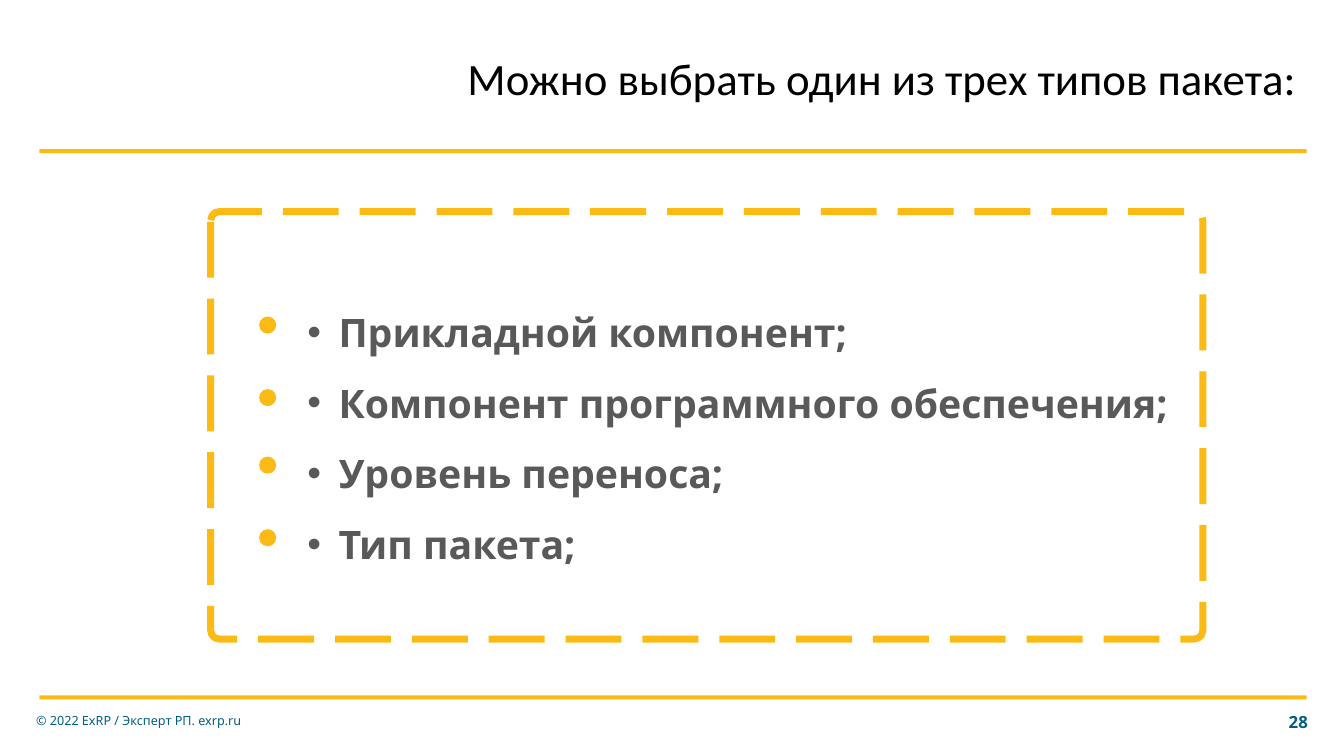
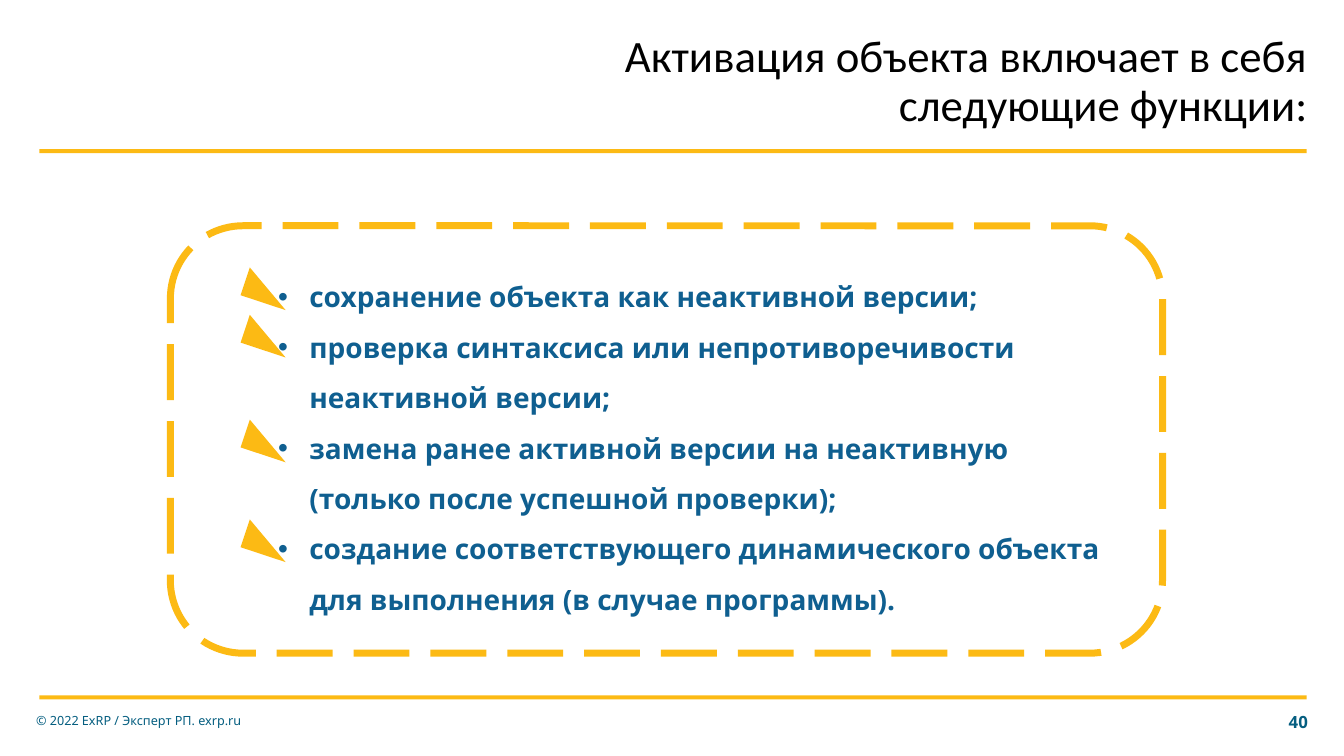
from lxml import etree
from pptx import Presentation
from pptx.dml.color import RGBColor
from pptx.enum.dml import MSO_LINE
from pptx.enum.shapes import MSO_SHAPE
from pptx.enum.text import MSO_ANCHOR, PP_ALIGN
from pptx.oxml.ns import qn
from pptx.util import Emu, Pt

# Shared style: 100 px to the inch
PX = 9144
PAGE_WIDTH, PAGE_HEIGHT = 1333, 750
YELLOW = RGBColor(0xFC, 0xBA, 0x14)
TEAL = RGBColor(0x05, 0x5E, 0x80)
BLUE = RGBColor(0x0F, 0x5F, 0x90)
GREY = RGBColor(0x59, 0x59, 0x59)
BLACK = RGBColor(0, 0, 0)
TITLE_FONT, BODY_FONT = "Calibri", "Noto Sans"
LEFT, RIGHT = PP_ALIGN.LEFT, PP_ALIGN.RIGHT
MIDDLE = MSO_ANCHOR.MIDDLE
RECTANGLE, ROUNDED = MSO_SHAPE.RECTANGLE, MSO_SHAPE.ROUNDED_RECTANGLE
OVAL, TRIANGLE = MSO_SHAPE.OVAL, MSO_SHAPE.RIGHT_TRIANGLE
LONG_DASH = MSO_LINE.LONG_DASH
BAND_TOPS = (148, 690)
FOOTER = "© 2022 ExRP / Эксперт РП. exrp.ru"


def px(*lengths):
    return [Emu(length * PX) for length in lengths]


def add_plain_shape(page, kind, area):
    shape = page.shapes.add_shape(kind, *px(*area))
    shape.shadow.inherit = False
    return shape


def add_filled(page, kind, area, rotation=0):
    shape = add_plain_shape(page, kind, area)
    shape.fill.solid()
    shape.fill.fore_color.rgb = YELLOW
    shape.line.fill.background()
    shape.rotation = rotation


def add_frame(page, area, corner):
    frame = add_plain_shape(page, ROUNDED, area)
    frame.adjustments[0] = corner
    frame.fill.background()
    frame.line.color.rgb = YELLOW
    frame.line.width = Pt(5)
    frame.line.dash_style = LONG_DASH


def add_bullet(para):
    properties = para._p.get_or_add_pPr()
    indent = 31 * PX
    properties.set("marL", str(indent))
    properties.set("indent", str(-indent))
    etree.SubElement(properties, qn("a:buFont")).set("typeface", "Arial")
    etree.SubElement(properties, qn("a:buChar")).set("char", "•")


def add_text(page, area, lines, size, color, font=BODY_FONT, bold=False,
             align=LEFT, spacing=1.0, insets=(10, 5, 10, 5), bullets=False):
    frame = page.shapes.add_textbox(*px(*area)).text_frame
    frame.word_wrap = True
    frame.vertical_anchor = MIDDLE
    (frame.margin_left, frame.margin_top,
     frame.margin_right, frame.margin_bottom) = px(*insets)
    for index, line in enumerate(lines):
        para = frame.add_paragraph() if index else frame.paragraphs[0]
        para.text = line
        if bullets:
            add_bullet(para)
        para.alignment = align
        para.line_spacing = spacing
        para.font.name = font
        para.font.size = Pt(size)
        para.font.bold = bold
        para.font.color.rgb = color


def add_list(page, area, lines, size, color):
    add_text(page, area, lines, size, color, bold=True, spacing=1.5,
             insets=(10, 5, 0, 5), bullets=True)


def add_page(deck, number, title, title_area):
    page = deck.slides.add_slide(deck.slide_layouts[6])
    for top in BAND_TOPS:
        add_filled(page, RECTANGLE, (39, top, 1257, 4))
    add_text(page, (1242, 696, 65, 40), [str(number)], 12, TEAL,
             bold=True, align=RIGHT)
    add_text(page, (26, 695, 285, 40), [FOOTER], 9, TEAL)
    add_text(page, title_area, [title], 32, BLACK, TITLE_FONT,
             align=RIGHT, spacing=0.9, insets=(0, 0, 10, 5))
    return page


def add_package_types(deck):
    page = add_page(deck, 28, "Можно выбрать один из трех типов пакета:",
                    (295, 31, 1001, 103))
    add_list(page, (295, 280, 896, 285), [
        "Прикладной компонент;",
        "Компонент программного обеспечения;",
        "Уровень переноса;",
        "Тип пакета;",
    ], 28, GREY)
    add_frame(page, (209, 210, 984, 424), 0.02)
    for top in (314, 386, 453, 525):
        add_filled(page, OVAL, (257, top, 17, 17))


def add_activation(deck):
    page = add_page(deck, 40,
                    "Активация объекта включает в себя следующие функции:",
                    (411, 33, 896, 103))
    add_list(page, (266, 257, 848, 358), [
        "сохранение объекта как неактивной версии;",
        "проверка синтаксиса или непротиворечивости неактивной версии;",
        "замена ранее активной версии на неактивную "
        "(только после успешной проверки);",
        "создание соответствующего динамического объекта "
        "для выполнения (в случае программы).",
    ], 20, BLUE)
    add_frame(page, (169, 224, 984, 424), 0.17)
    for top in (272, 319, 423, 522):
        add_filled(page, TRIANGLE, (242, top, 47, 29), rotation=18.3)


def main():
    deck = Presentation()
    deck.slide_width, deck.slide_height = px(PAGE_WIDTH, PAGE_HEIGHT)
    add_package_types(deck)
    add_activation(deck)
    deck.save("out.pptx")


if __name__ == "__main__":
    main()
